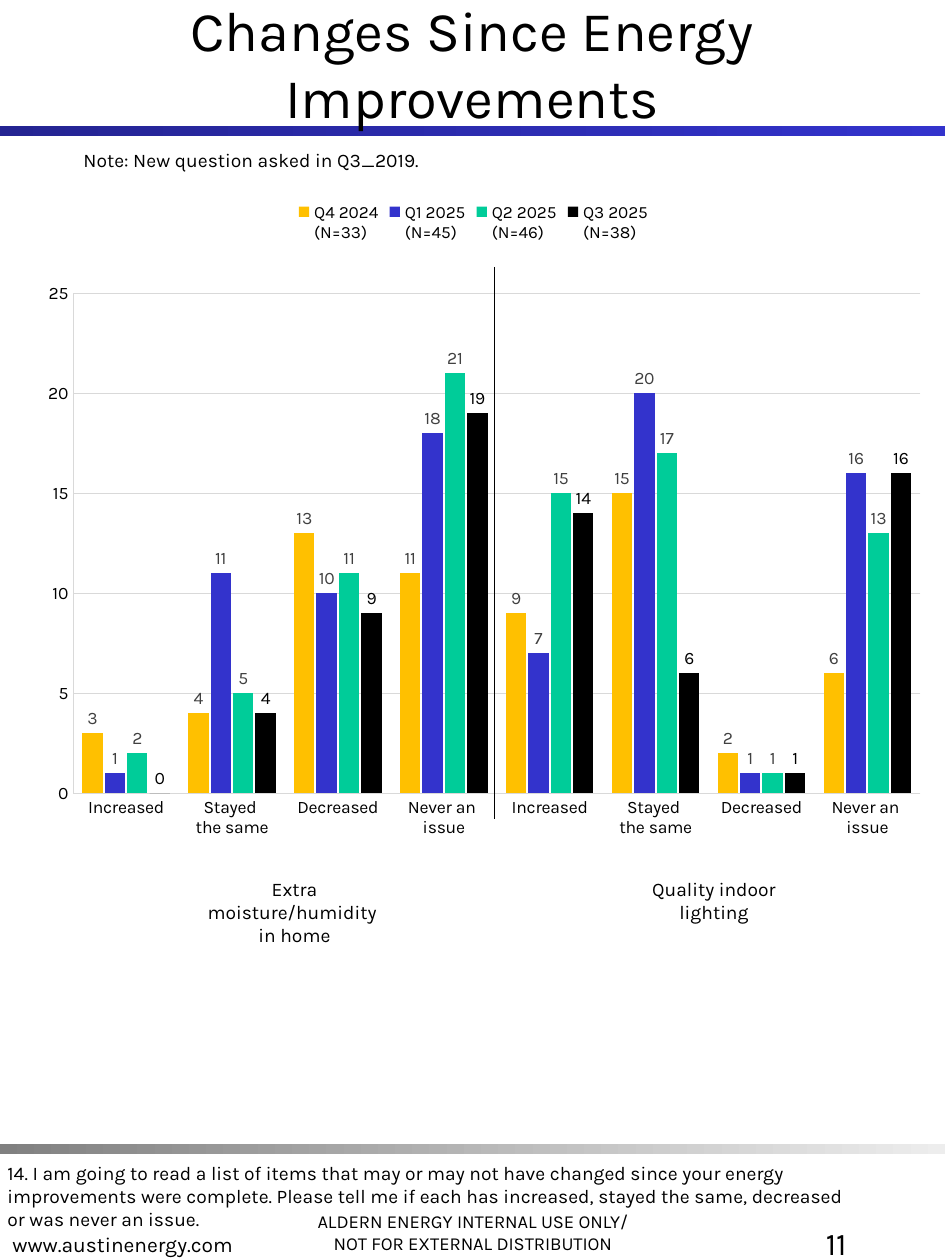
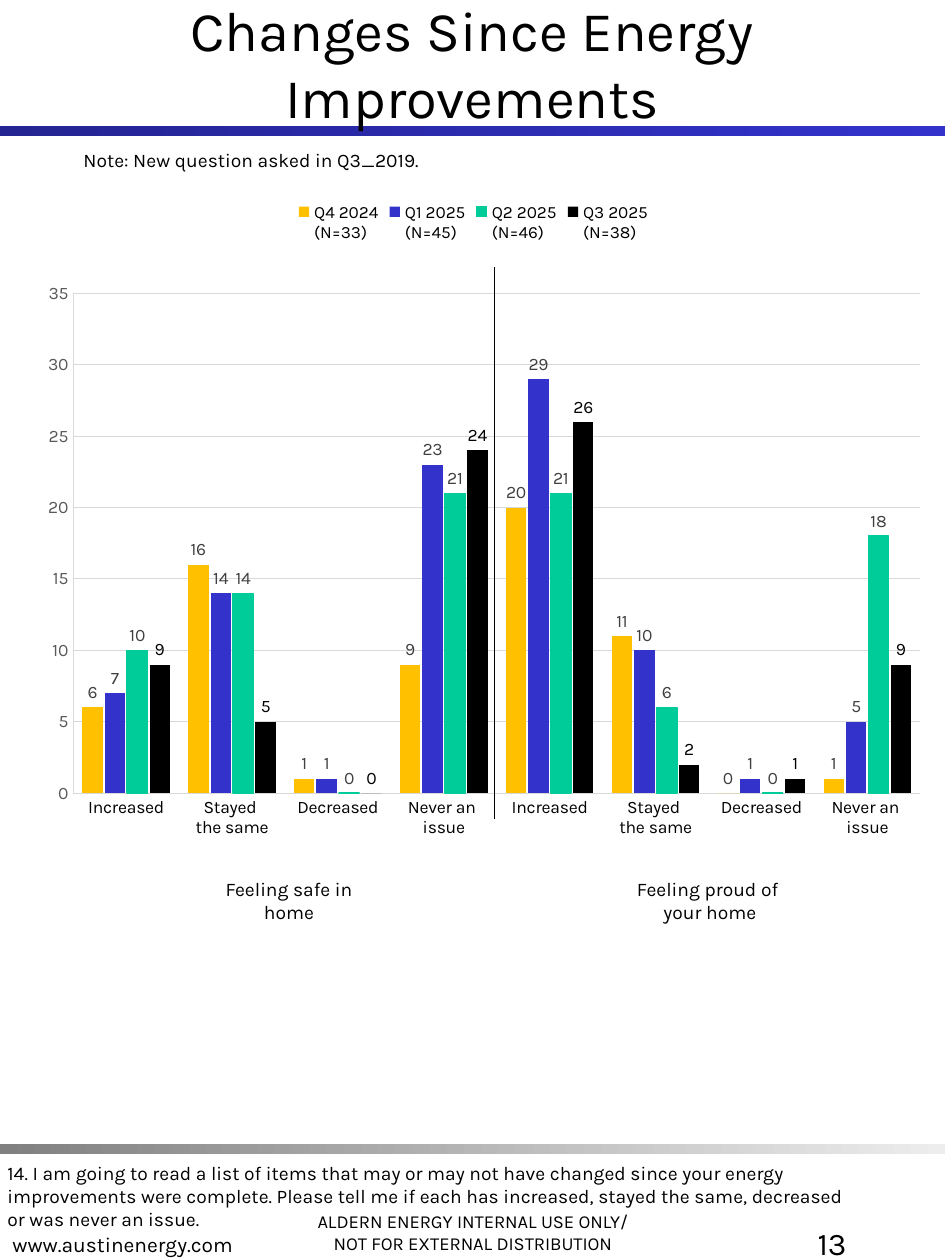
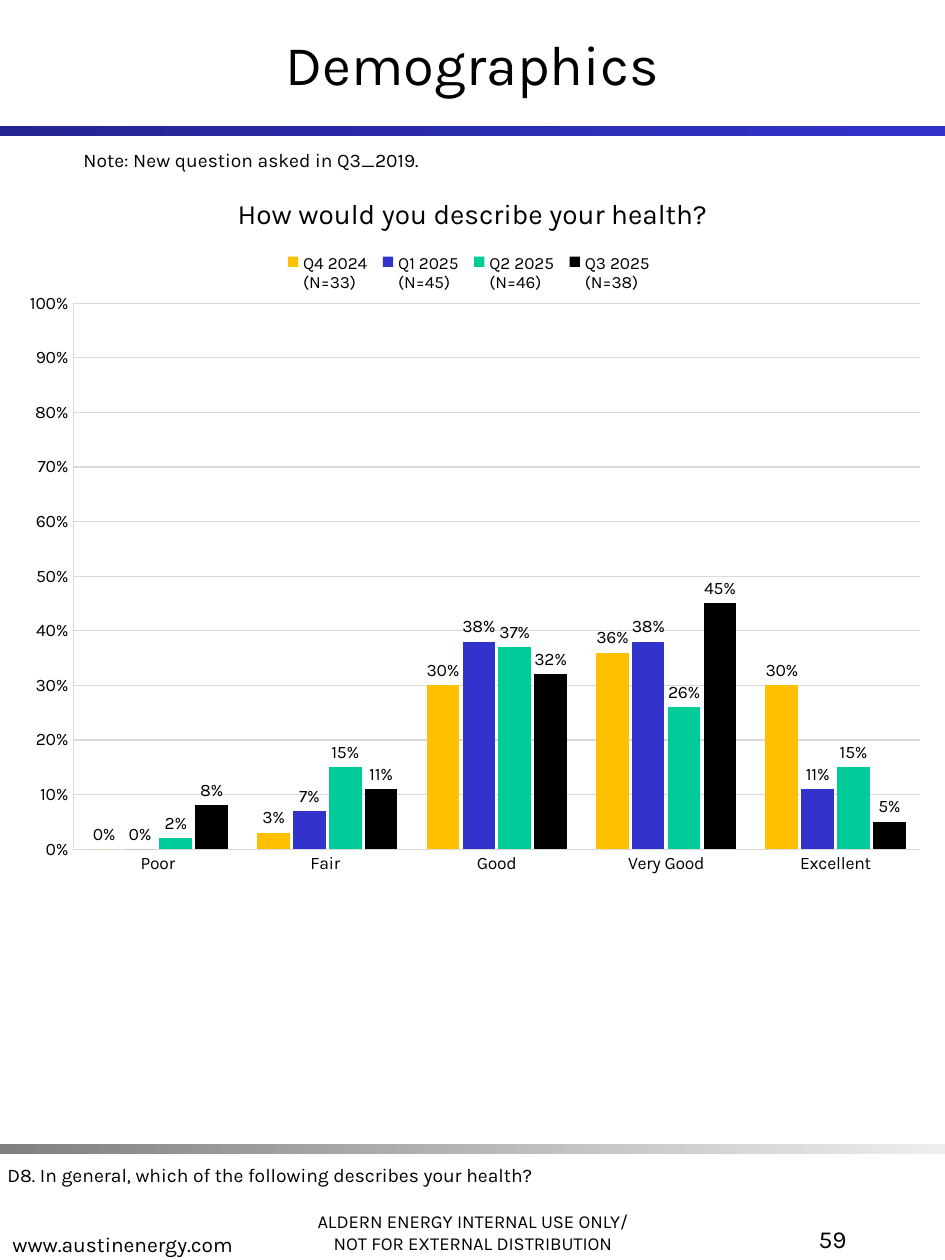
from dataclasses import dataclass

from lxml import etree
from pptx import Presentation
from pptx.chart.data import CategoryChartData
from pptx.dml.color import RGBColor
from pptx.enum.chart import XL_CHART_TYPE, XL_LABEL_POSITION, XL_LEGEND_POSITION, XL_TICK_MARK
from pptx.enum.shapes import MSO_CONNECTOR, MSO_SHAPE
from pptx.enum.text import MSO_ANCHOR, PP_ALIGN
from pptx.oxml.ns import qn
from pptx.util import Pt

COLUMNS = XL_CHART_TYPE.COLUMN_CLUSTERED
OUT_END = XL_LABEL_POSITION.OUTSIDE_END
LEGEND_TOP = XL_LEGEND_POSITION.TOP
NO_TICK = XL_TICK_MARK.NONE
STRAIGHT = MSO_CONNECTOR.STRAIGHT
RECT = MSO_SHAPE.RECTANGLE
TOP, MIDDLE, BOTTOM = MSO_ANCHOR.TOP, MSO_ANCHOR.MIDDLE, MSO_ANCHOR.BOTTOM
LEFT, CENTER, RIGHT = PP_ALIGN.LEFT, PP_ALIGN.CENTER, PP_ALIGN.RIGHT

PX = 914400 / 126


@dataclass(frozen=True)
class Theme:
    font: str = "Karla"
    black: str = "000000"
    dark: str = "404040"
    mid: str = "595959"
    grid: str = "D9D9D9"
    bars: tuple = ("FFC000", "3333CC", "00CC99", "000000")
    bands: tuple = ((126, "242492", "3333CC"), (1144, "808080", "EDEDED"))
    title: float = 32
    head: float = 16
    body: float = 11
    chart: float = 10
    key: float = 9.8
    site: float = 12
    foot: float = 10.5


T = Theme()


def write(slide, box, lines, size, align=LEFT, anchor=TOP, wrap=True):
    """Add a text box with one paragraph for each line."""
    frame = slide.shapes.add_textbox(*[round(n * PX) for n in box]).text_frame
    frame.word_wrap = wrap
    frame.vertical_anchor = anchor
    for i, line in enumerate(lines):
        para = frame.paragraphs[0] if i == 0 else frame.add_paragraph()
        para.text = line
        para.alignment = align
        para.font.name = T.font
        para.font.size = Pt(size)
        para.font.color.rgb = RGBColor.from_string(T.black)


def place(node, index, frac, inner=False):
    """Fix a chart part at fractions of the chart's size."""
    for old in node.findall(qn("c:layout")):
        node.remove(old)
    layout = etree.Element(qn("c:layout"))
    manual = etree.SubElement(layout, qn("c:manualLayout"))
    rows = [("layoutTarget", "inner")] if inner else []
    rows += [("xMode", "edge"), ("yMode", "edge"), *zip("xywh", frac)]
    for tag, val in rows:
        etree.SubElement(manual, qn("c:" + tag)).set("val", str(val))
    node.insert(index, layout)


# Content
names = ["Q4 2024\n(N=33)", "Q1 2025\n(N=45)", "Q2 2025\n(N=46)", "Q3 2025\n(N=38)"]
change = dict(
    title="Changes Since Energy Improvements",
    ask="14. I am going to read a list of items that may or may not have changed since your "
        "energy improvements were complete. Please tell me if each has increased, stayed the "
        "same, decreased or was never an issue.",
    ask_top=1155, num_size=18, box=(8, 189, 931, 746), plot_h=0.67,
    cats=["Increased", "Stayed \nthe same", "Decreased", "Never an \nissue"] * 2,
    step=5, fmt="General", label=T.dark, scale=T.black, edge=False, groups=[])
pages = [
    change | dict(
        num="11", top=25,
        rows=[[3, 4, 13, 11, 9, 15, 2, 6], [1, 11, 10, 18, 7, 20, 1, 16],
              [2, 5, 11, 21, 15, 17, 1, 13], [0, 4, 9, 19, 14, 6, 1, 16]],
        groups=[(179, 231, ["Extra moisture/humidity ", "in home"]),
                (609, 210, ["Quality indoor lighting"])]),
    change | dict(
        num="13", top=35, scale=T.mid, edge=True,
        rows=[[6, 16, 1, 9, 20, 11, 0, 1], [7, 14, 1, 23, 29, 10, 1, 5],
              [10, 14, 0, 21, 21, 6, 0, 18], [9, 5, 0, 24, 26, 2, 1, 9]],
        groups=[(199, 180, ["Feeling safe in home"]),
                (620, 180, ["Feeling proud of ", "your home"])]),
    change | dict(
        title="Demographics", num="59", num_size=14,
        ask="D8. In general, which of the following describes your health?", ask_top=1157,
        head="How would you describe your health?",
        box=(8, 209, 931, 674), plot_h=0.81, key=(0.29, 0.06, 0.41, 0.07),
        cats=["Poor", "Fair ", "Good", "Very Good", "Excellent"],
        rows=[[0, 0.03, 0.3, 0.36, 0.3], [0, 0.07, 0.38, 0.38, 0.11],
              [0.02, 0.15, 0.37, 0.26, 0.15], [0.08, 0.11, 0.32, 0.45, 0.05]],
        top=1, step=0.1, fmt="0%", label=T.black),
]

deck = Presentation()
deck.slide_width, deck.slide_height = round(945 * PX), round(1260 * PX)

for page in pages:
    slide = deck.slides.add_slide(deck.slide_layouts[6])

    # Bands
    for y, *ends in T.bands:
        band = slide.shapes.add_shape(RECT, 0, round(y * PX), deck.slide_width, round(10 * PX))
        band.shadow.inherit = False
        band.line.fill.background()
        band.fill.gradient()
        band.fill.gradient_angle = 0
        for stop, tint in zip(band.fill.gradient_stops, ends):
            stop.color.rgb = RGBColor.from_string(tint)

    # Title, note, question and footers
    write(slide, (272, 1176, 402, 84),
          ["ALDERN ENERGY INTERNAL USE ONLY/", "NOT FOR EXTERNAL DISTRIBUTION"],
          T.foot, CENTER, BOTTOM)
    write(slide, (0, 1179, 402, 84), ["www.austinenergy.com"], T.site, anchor=BOTTOM)
    write(slide, (0, 0, 945, 126), [page["title"]], T.title, CENTER, MIDDLE)
    write(slide, (662, 1218, 197, 84), [page["num"]], page["num_size"], RIGHT)
    write(slide, (71, 142, 811, 37), ["Note: New question asked in Q3_2019."], T.body)
    write(slide, (-5, page["ask_top"], 863, 83), [page["ask"]], T.body)

    # Chart
    data = CategoryChartData(number_format=page["fmt"])
    data.categories = page["cats"]
    for name, row in zip(names, page["rows"]):
        data.add_series(name, row)
    box = [round(n * PX) for n in page["box"]]
    chart = slide.shapes.add_chart(COLUMNS, *box, data).chart
    chart.has_title = False
    chart.font.name = T.font
    chart.font.size = Pt(T.chart)
    chart.font.color.rgb = RGBColor.from_string(T.black)

    plot = chart.plots[0]
    plot.gap_width, plot.overlap = 90, -10
    plot.vary_by_categories = False
    place(chart._chartSpace.chart.plotArea, 0, (0.07, 0.14, 0.91, page["plot_h"]), inner=True)

    for i, (bar, tint) in enumerate(zip(plot.series, T.bars)):
        bar.format.fill.solid()
        bar.format.fill.fore_color.rgb = RGBColor.from_string(tint)
        if page["edge"] and i == 2:
            bar.format.line.color.rgb = RGBColor.from_string(tint)
            bar.format.line.width = Pt(0.75)
        tags = bar.data_labels
        tags.show_value = True
        tags.position = OUT_END
        tags.number_format, tags.number_format_is_linked = page["fmt"], False
        tags.font.name = T.font
        tags.font.size = Pt(T.chart)
        tags.font.color.rgb = RGBColor.from_string(T.black if i == 3 else page["label"])

    # Axes
    cat, val = chart.category_axis, chart.value_axis
    val.minimum_scale, val.maximum_scale, val.major_unit = 0, page["top"], page["step"]
    val.tick_labels.number_format = page["fmt"]
    val.tick_labels.number_format_is_linked = False
    for axis, tint, width in ((cat, T.black, 0.62), (val, page["scale"], 0.41)):
        axis.major_tick_mark = axis.minor_tick_mark = NO_TICK
        axis.tick_labels.font.name = T.font
        axis.tick_labels.font.size = Pt(T.chart)
        axis.tick_labels.font.color.rgb = RGBColor.from_string(tint)
        axis.format.line.color.rgb = RGBColor.from_string(T.grid)
        axis.format.line.width = Pt(width)
    val.has_major_gridlines = True
    val.major_gridlines.format.line.color.rgb = RGBColor.from_string(T.grid)
    val.major_gridlines.format.line.width = Pt(0.62)

    # Legend
    chart.has_legend = True
    key = chart.legend
    key.position = LEGEND_TOP
    key.include_in_layout = False
    key.font.name = T.font
    key.font.size = Pt(T.key)
    key.font.color.rgb = RGBColor.from_string(T.black)
    if "key" in page:
        place(key._element, 1, page["key"])

    # Group names with a divider, or a chart heading
    for x, width, lines in page["groups"]:
        write(slide, (x, 871, width, 57), lines, T.body, CENTER, wrap=False)
    if page["groups"]:
        ends = [round(n * PX) for n in (494, 267, 494, 819)]
        rule = slide.shapes.add_connector(STRAIGHT, *ends)
        rule.line.color.rgb = RGBColor.from_string(T.black)
        rule.line.width = Pt(0.25)
        etree.SubElement(rule._element.spPr, qn("a:effectLst"))
    if "head" in page:
        write(slide, (213, 190, 519, 47), [page["head"]], T.head, CENTER)

deck.save("out.pptx")
